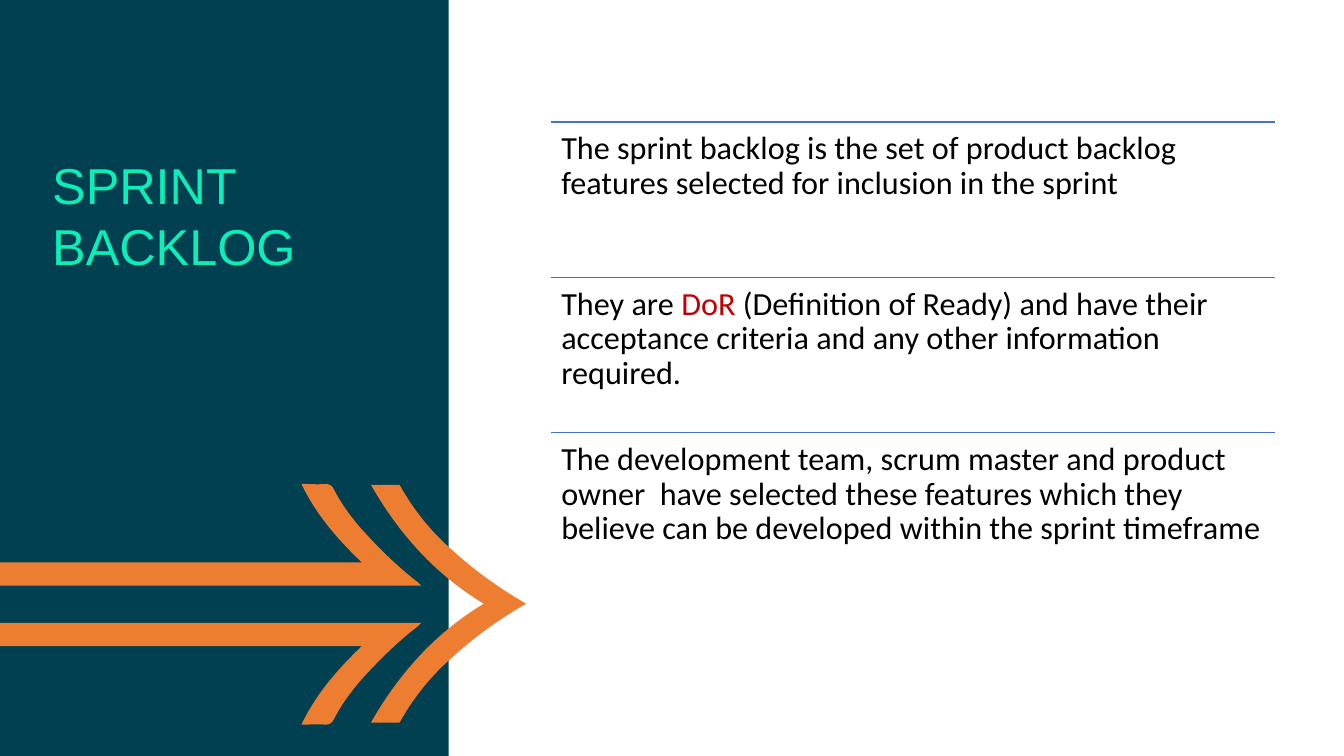
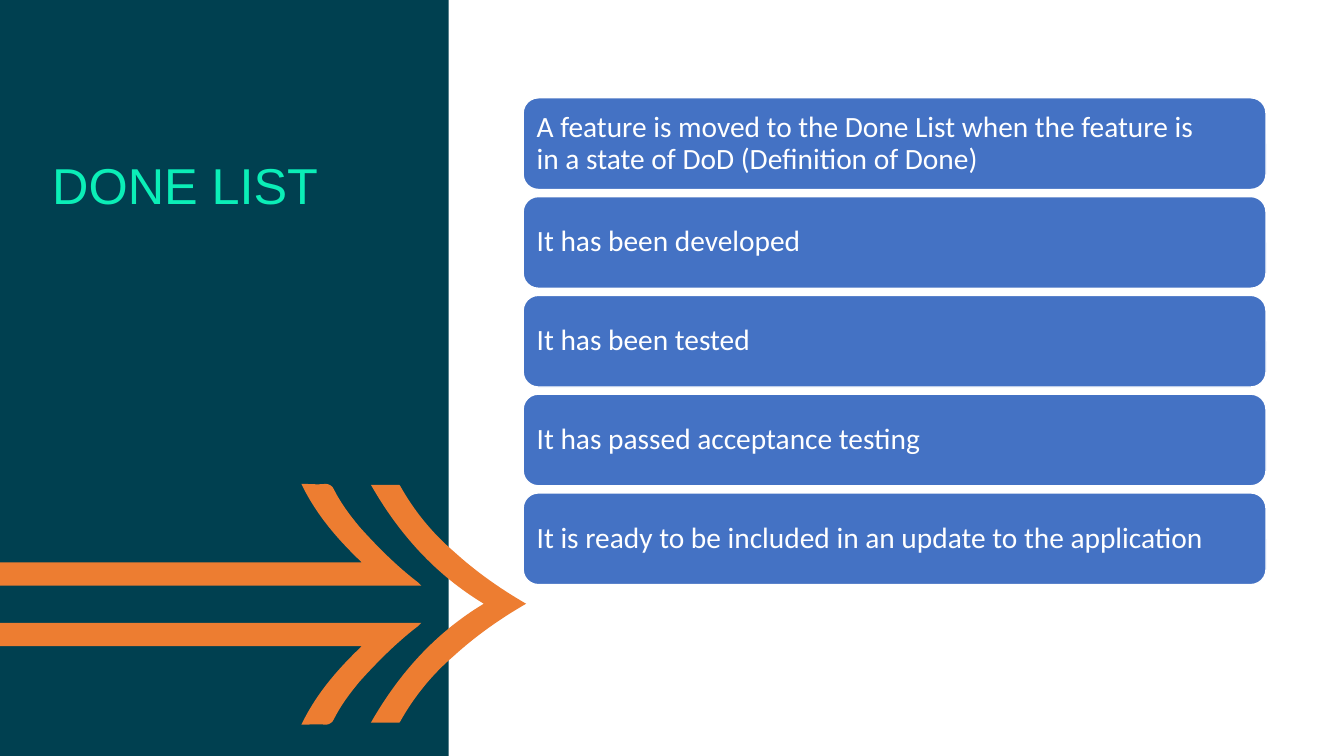
"""Build the sprint backlog and done list slides."""
from dataclasses import dataclass

from lxml import etree
from pptx import Presentation
from pptx.dml.color import RGBColor
from pptx.enum.shapes import MSO_CONNECTOR, MSO_SHAPE
from pptx.enum.text import MSO_ANCHOR, PP_ALIGN
from pptx.oxml.ns import qn
from pptx.shapes.autoshape import Shape
from pptx.slide import Slide
from pptx.text.text import TextFrame
from pptx.util import Emu, Pt

RECTANGLE = MSO_SHAPE.RECTANGLE
ROUNDED = MSO_SHAPE.ROUNDED_RECTANGLE
STRAIGHT = MSO_CONNECTOR.STRAIGHT
TOP = MSO_ANCHOR.TOP
MIDDLE = MSO_ANCHOR.MIDDLE
LEFT = PP_ALIGN.LEFT

PX = 9144
SLIDE_WIDTH = Emu(12192000)
SLIDE_HEIGHT = Emu(6858000)
BLANK_LAYOUT = 6

TEAL = RGBColor(0x00, 0x40, 0x50)
MINT = RGBColor(0x0B, 0xEE, 0xB7)
ORANGE = RGBColor(0xED, 0x7D, 0x31)
BLUE = RGBColor(0x44, 0x72, 0xC4)
RED = RGBColor(0xC0, 0x00, 0x00)
BLACK = RGBColor(0x00, 0x00, 0x00)
WHITE = RGBColor(0xFF, 0xFF, 0xFF)

Point = tuple[int, int]
Segment = tuple[Point, ...]


@dataclass(frozen=True)
class Outline:
    start: Point
    segments: tuple[Segment, ...]

    def mirrored(self, edges_sum: int) -> "Outline":
        def flip(point: Point) -> Point:
            return point[0], edges_sum - point[1]

        return Outline(flip(self.start), tuple(
            tuple(flip(point) for point in segment) for segment in self.segments))

    def backwards(self) -> "Outline":
        nodes = [self.start] + [segment[-1] for segment in self.segments]
        pairs = list(zip(nodes, self.segments))
        return Outline(nodes[-1], tuple(
            segment[-2::-1] + (origin,) if len(segment) > 1 else (origin,)
            for origin, segment in reversed(pairs)))


@dataclass(frozen=True)
class Box:
    left: int
    top: int
    width: int
    height: int

    def emu(self) -> tuple[Emu, Emu, Emu, Emu]:
        return px(self.left), px(self.top), px(self.width), px(self.height)


@dataclass(frozen=True)
class TextStyle:
    font: str
    size: int
    color: RGBColor
    line_spacing: float


@dataclass(frozen=True)
class Phrase:
    text: str
    color: RGBColor = BLACK


PANEL = Box(0, 0, 445, 750)
TITLE = Box(42, 148, 377, 301)
FIRST_STATEMENT = Box(547, 121, 718, 154)
FIRST_BAR = Box(519, 97, 737, 91)
BAR_PITCH = 98

TITLE_STYLE = TextStyle("Arial", 36, MINT, 1.0)
STATEMENT_STYLE = TextStyle("Calibri", 23, BLACK, 0.9)
BAR_STYLE = TextStyle("Calibri", 21, WHITE, 0.9)

UPPER_SHAFT = Outline((418, 581), (
    ((-62, 581),),
    ((-62, 558),),
    ((359, 558),),
    ((335, 535), (314, 511), (299, 480)),
    ((307, 480), (315, 481), (323, 480)),
    ((326, 480), (330, 482), (331, 485)),
    ((338, 499), (347, 511), (357, 523)),
    ((375, 543), (394, 562), (415, 578)),
))
UPPER_HEAD = Outline((480, 599), (
    ((432, 570), (396, 530), (368, 481)),
    ((394, 481),),
    ((396, 481), (397, 481), (397, 482)),
    ((411, 507), (429, 529), (450, 547)),
    ((472, 567), (496, 584), (522, 599)),
))
SHAFT_EDGES_SUM = 1199
HEAD_EDGES_SUM = 1198

STATEMENTS = (
    (Phrase("The sprint backlog is the set of product backlog features selected "
            "for inclusion in the sprint"),),
    (Phrase("They are "), Phrase("DoR", RED),
     Phrase(" (Definition of Ready) and have their acceptance criteria and any "
            "other information required.")),
    (Phrase("The development team, scrum master and product owner  have selected "
            "these features which they believe can be developed within the sprint "
            "timeframe"),),
)
DONE_CRITERIA = (
    "A feature is moved to the Done List when the feature is \v"
    "in a state of DoD (Definition of Done)",
    "It has been developed",
    "It has been tested",
    "It has passed acceptance testing",
    "It is ready to be included in an update to the application",
)


def px(length: int) -> Emu:
    return Emu(length * PX)


def arrow_outlines() -> list[Outline]:
    lower_head = UPPER_HEAD.mirrored(HEAD_EDGES_SUM).backwards()
    head = Outline(UPPER_HEAD.start, UPPER_HEAD.segments + lower_head.segments)
    return [UPPER_SHAFT, head, UPPER_SHAFT.mirrored(SHAFT_EDGES_SUM)]


def fill_plain(shape: Shape, color: RGBColor) -> None:
    shape.shadow.inherit = False
    shape.fill.solid()
    shape.fill.fore_color.rgb = color
    shape.line.fill.background()


def set_frame(frame: TextFrame, anchor: MSO_ANCHOR, across: int, down: int) -> None:
    frame.word_wrap = True
    frame.vertical_anchor = anchor
    frame.margin_left = frame.margin_right = px(across)
    frame.margin_top = frame.margin_bottom = px(down)


def style_text(frame: TextFrame, style: TextStyle) -> None:
    for paragraph in frame.paragraphs:
        paragraph.alignment = LEFT
        paragraph.line_spacing = style.line_spacing
        for run in paragraph.runs:
            run.font.name = style.font
            run.font.size = Pt(style.size)
            run.font.color.rgb = style.color


def bend_curves(shape: Shape, segments: tuple[Segment, ...]) -> None:
    steps = iter(list(shape.element.iter(qn("a:lnTo"))))
    for segment in segments:
        first, *others = [next(steps) for _ in segment]
        if others:
            first.tag = qn("a:cubicBezTo")
        for step in others:
            first.append(step[0])
            step.getparent().remove(step)


def add_outline(slide: Slide, outline: Outline) -> None:
    builder = slide.shapes.build_freeform(*outline.start, scale=PX)
    points = [point for segment in outline.segments for point in segment]
    builder.add_line_segments(points, close=True)
    shape = builder.convert_to_shape()
    bend_curves(shape, outline.segments)
    fill_plain(shape, ORANGE)


def add_titled_slide(deck: Presentation, title: str) -> Slide:
    slide = deck.slides.add_slide(deck.slide_layouts[BLANK_LAYOUT])
    fill_plain(slide.shapes.add_shape(RECTANGLE, *PANEL.emu()), TEAL)
    for outline in arrow_outlines():
        add_outline(slide, outline)
    heading = slide.shapes.add_textbox(*TITLE.emu()).text_frame
    set_frame(heading, TOP, 10, 5)
    heading.text = title
    style_text(heading, TITLE_STYLE)
    return slide


def add_statement(slide: Slide, box: Box, phrases: tuple[Phrase, ...]) -> None:
    rule = slide.shapes.add_connector(
        STRAIGHT, px(box.left), px(box.top), px(box.left + box.width), px(box.top))
    rule.line.color.rgb = BLUE
    rule.line.width = Pt(1)
    etree.SubElement(rule.element.spPr, qn("a:effectLst"))
    frame = slide.shapes.add_textbox(*box.emu()).text_frame
    set_frame(frame, TOP, 10, 10)
    for phrase in phrases:
        frame.paragraphs[0].add_run().text = phrase.text
    style_text(frame, STATEMENT_STYLE)
    for run, phrase in zip(frame.paragraphs[0].runs, phrases):
        run.font.color.rgb = phrase.color


def add_bar(slide: Slide, box: Box, criterion: str) -> None:
    bar = slide.shapes.add_shape(ROUNDED, *box.emu())
    fill_plain(bar, BLUE)
    bar.line.color.rgb = WHITE
    bar.line.width = Pt(1)
    set_frame(bar.text_frame, MIDDLE, 9, 9)
    bar.text_frame.text = criterion
    style_text(bar.text_frame, BAR_STYLE)


def stacked(first: Box, pitch: int, index: int) -> Box:
    return Box(first.left, first.top + index * pitch, first.width, first.height)


def main() -> None:
    deck = Presentation()
    deck.slide_width = SLIDE_WIDTH
    deck.slide_height = SLIDE_HEIGHT

    backlog = add_titled_slide(deck, "SPRINT BACKLOG")
    for index, phrases in enumerate(STATEMENTS):
        box = stacked(FIRST_STATEMENT, FIRST_STATEMENT.height, index)
        add_statement(backlog, box, phrases)

    done_list = add_titled_slide(deck, "DONE LIST")
    for index, criterion in enumerate(DONE_CRITERIA):
        add_bar(done_list, stacked(FIRST_BAR, BAR_PITCH, index), criterion)

    deck.save("out.pptx")


if __name__ == "__main__":
    main()
